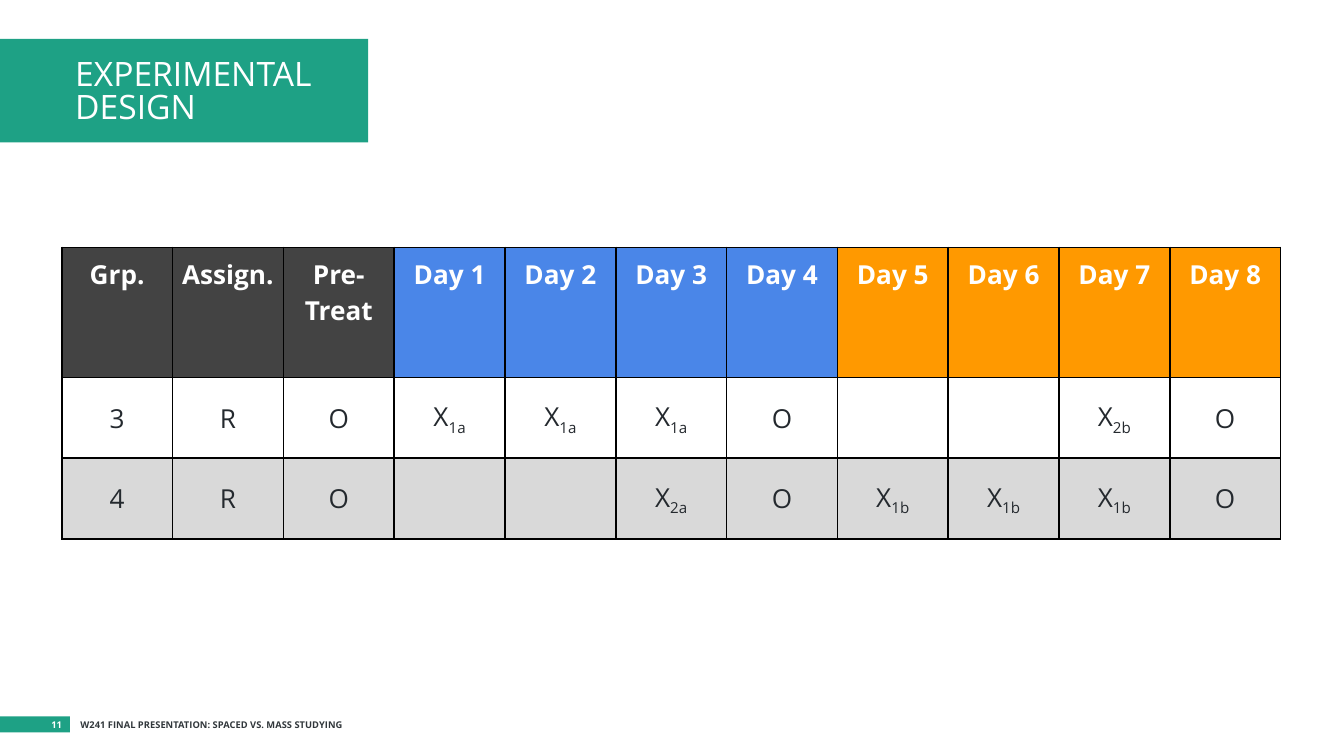
"""Build the experimental design slide with its treatment schedule table."""
from lxml import etree
from pptx import Presentation
from pptx.dml.color import RGBColor
from pptx.enum.shapes import MSO_SHAPE
from pptx.enum.text import MSO_ANCHOR, MSO_AUTO_SIZE, PP_ALIGN
from pptx.oxml.ns import qn
from pptx.util import Inches, Pt

RECTANGLE = MSO_SHAPE.RECTANGLE
MIDDLE, TOP = MSO_ANCHOR.MIDDLE, MSO_ANCHOR.TOP
NO_AUTOFIT = MSO_AUTO_SIZE.NONE
LEFT, CENTER, RIGHT = PP_ALIGN.LEFT, PP_ALIGN.CENTER, PP_ALIGN.RIGHT
WHITE = RGBColor(0xFF, 0xFF, 0xFF)
BLACK = RGBColor(0x00, 0x00, 0x00)
GREEN = RGBColor(0x1E, 0xA1, 0x85)
SLATE = RGBColor(0x31, 0x37, 0x3B)
INK = RGBColor(0x24, 0x29, 0x2E)
CHARCOAL = RGBColor(0x43, 0x43, 0x43)
BLUE = RGBColor(0x4A, 0x86, 0xE8)
ORANGE = RGBColor(0xFF, 0x99, 0x00)
GRAY = RGBColor(0xD9, 0xD9, 0xD9)
FONT = "Open Sans"


def write(para, text, size, color, bold=False, align=LEFT, spacing=1.0):
    """Add text to a paragraph; characters after an underscore are subscript."""
    para.alignment = align
    para.line_spacing = spacing
    base, _, subscript = text.partition("_")
    for part, baseline in ((base, 0), (subscript, -25000)):
        if part:
            span = para.add_run()
            span.text = part
            span.font.name = FONT
            span.font.size = Pt(size)
            span.font.bold = bold
            span.font.color.rgb = color
            if baseline:
                span._r.get_or_add_rPr().set("baseline", str(baseline))


def outline(cell, color, width):
    """Draw all four borders of a table cell."""
    properties = cell._tc.get_or_add_tcPr()
    for position, side in enumerate(("a:lnL", "a:lnR", "a:lnT", "a:lnB")):
        line = etree.Element(qn(side), w=str(Pt(width)))
        fill = etree.SubElement(line, qn("a:solidFill"))
        etree.SubElement(fill, qn("a:srgbClr"), val=str(color))
        properties.insert(position, line)


deck = Presentation()
deck.slide_width, deck.slide_height = Inches(10), Inches(10 * 9 / 16)
page = deck.slides.add_slide(deck.slide_layouts[5])

for top, width, height in ((0.29, 2.74, 0.77), (5.33, 0.52, 0.12)):
    band = page.shapes.add_shape(RECTANGLE, 0, Inches(top), Inches(width), Inches(height))
    band.shadow.inherit = False
    band.fill.solid()
    band.fill.fore_color.rgb = GREEN
    band.line.fill.background()

footers = (
    ("W241 FINAL PRESENTATION: SPACED VS. MASS STUDYING", 0.5, 3.05, SLATE, LEFT),
    ("11", 0, 0.56, WHITE, RIGHT),
)
for text, left, width, color, align in footers:
    box = page.shapes.add_textbox(Inches(left), Inches(5.32), Inches(width), Inches(0.16))
    box.text_frame.word_wrap = True
    box.text_frame.vertical_anchor = MIDDLE
    write(box.text_frame.paragraphs[0], text, 5, color, bold=True, align=align, spacing=0.7)

title = page.shapes.title
title.left, title.top = Inches(0.46), Inches(0.24)
title.width, title.height = Inches(2.14), Inches(0.91)
title.text_frame.word_wrap = True
title.text_frame.auto_size = NO_AUTOFIT
title.text_frame.vertical_anchor = MIDDLE
write(title.text_frame.paragraphs[0], "EXPERIMENTAL DESIGN", 18, WHITE, spacing=0.8)
page.shapes.element.append(title.element)

schedule = (
    ["Grp.", "Assign.", "Pre-\nTreat"] + [f"Day {day}" for day in range(1, 9)],
    ["3", "R", "O", "X_1a", "X_1a", "X_1a", "O", "", "", "X_2b", "O"],
    ["4", "R", "O", "", "", "X_2a", "O", "X_1b", "X_1b", "X_1b", "O"],
)
header_fills = [CHARCOAL] * 3 + [BLUE] * 4 + [ORANGE] * 4
row_fills = (header_fills, [None] * 11, [GRAY] * 11)
row_heights = (0.97, 0.6, 0.6)

table = page.shapes.add_table(
    3, 11, Inches(0.46), Inches(1.84), Inches(9.07), Inches(sum(row_heights))
).table
table.first_row = table.horz_banding = False
for column in table.columns:
    column.width = Inches(9.07 / 11)

for row, (texts, fills, height) in enumerate(zip(schedule, row_fills, row_heights)):
    table.rows[row].height = Inches(height)
    header = row == 0
    for column, (text, fill) in enumerate(zip(texts, fills)):
        cell = table.cell(row, column)
        cell.margin_left = cell.margin_right = Inches(0.07)
        cell.margin_top = cell.margin_bottom = Inches(0.07)
        cell.vertical_anchor = TOP if header else MIDDLE
        if fill is None:
            cell.fill.background()
        else:
            cell.fill.solid()
            cell.fill.fore_color.rgb = fill
        outline(cell, BLACK, 1)
        for index, words in enumerate(text.split("\n")):
            frame = cell.text_frame
            para = frame.add_paragraph() if index else frame.paragraphs[0]
            write(para, words, 14, WHITE if header else INK, bold=header, align=CENTER)

deck.save("out.pptx")
